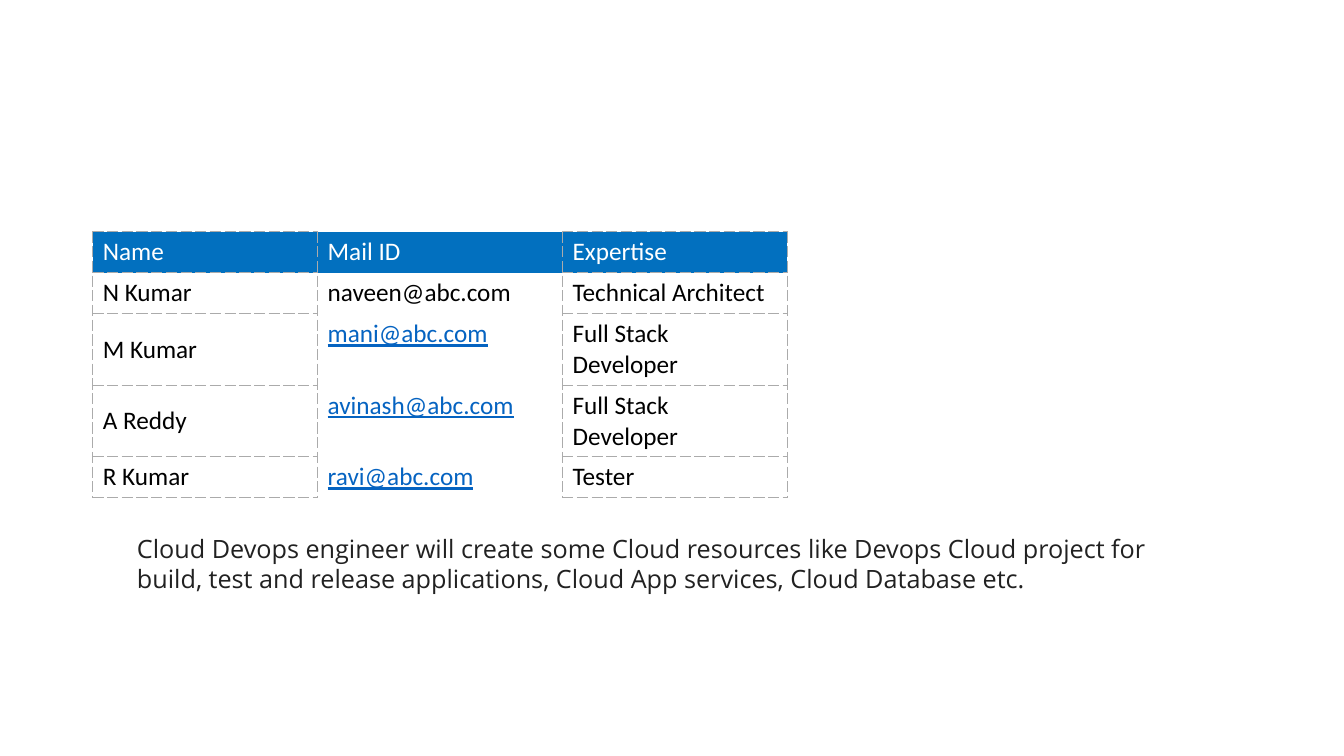
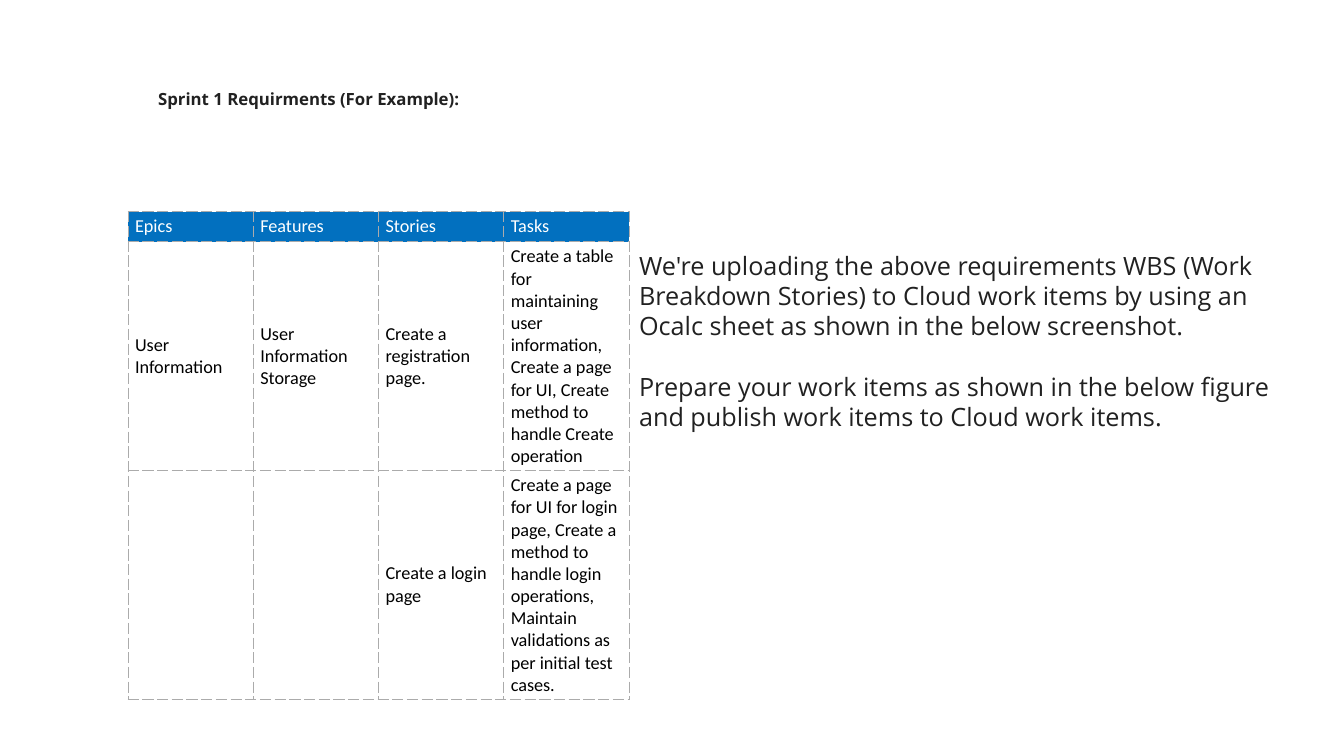
"""Build two project planning slides with bordered tables and notes."""
from dataclasses import dataclass
from typing import Optional

from lxml import etree
from pptx import Presentation
from pptx.dml.color import RGBColor
from pptx.enum import shapes, text
from pptx.oxml import ns
from pptx.util import Inches, Pt


@dataclass(frozen=True)
class Theme:
    header: RGBColor = RGBColor(0x02, 0x70, 0xBF)
    paper: RGBColor = RGBColor(0xFF, 0xFF, 0xFF)
    ink: RGBColor = RGBColor(0x00, 0x00, 0x00)
    note: RGBColor = RGBColor(0x21, 0x21, 0x21)
    link: RGBColor = RGBColor(0x05, 0x63, 0xC1)
    border: str = "ABABAB"
    border_width: float = 0.75
    table_font: str = "Calibri"
    note_font: str = "Open Sans"
    body_size: int = 18
    compact_size: int = 13
    heading_size: int = 12
    paragraph_gap: int = 22


@dataclass(frozen=True)
class Grid:
    left: float
    top: float
    cols: tuple[float, ...]
    rows: tuple[float, ...]
    cells: tuple[tuple[str, ...], ...]
    size: int
    margin_x: float = 0.1
    margin_y: float = 0.05
    open_col: Optional[int] = None
    links: tuple[str, ...] = ()


@dataclass(frozen=True)
class Note:
    left: float
    top: float
    width: float
    height: float
    paragraphs: tuple[str, ...]
    size: int
    is_heading: bool = False


THEME = Theme()

TEAM = Grid(
    0.92, 2.3, (2.23, 2.43, 2.23), (0.4, 0.4, 0.71, 0.71, 0.4),
    (
        ("Name", "Mail ID", "Expertise"),
        ("N Kumar", "naveen@abc.com", "Technical Architect"),
        ("M Kumar", "mani@abc.com", "Full Stack Developer"),
        ("A Reddy", "avinash@abc.com", "Full Stack Developer"),
        ("R Kumar", "ravi@abc.com", "Tester"),
    ),
    THEME.body_size,
    open_col=1,
    links=("mani@abc.com", "avinash@abc.com", "ravi@abc.com"),
)
TEAM_NOTE = Note(
    1.26, 5.24, 10.31, 0.71,
    ("Cloud Devops engineer will create some Cloud resources like Devops Cloud "
     "project for build, test and release applications, Cloud App services, "
     "Cloud Database etc.",),
    THEME.body_size,
)
SPRINT = Grid(
    1.27, 2.1, (4.97 / 4,) * 4, (0.29, 2.27, 2.27),
    (
        ("Epics", "Features", "Stories", "Tasks"),
        ("User Information", "User Information Storage",
         "Create a registration page.",
         "Create a table for maintaining user information, Create a page for UI, "
         "Create method to handle Create operation"),
        ("", "", "Create a login page",
         "Create a page for UI for login page, Create a method to handle login "
         "operations, Maintain validations as per initial test cases."),
    ),
    THEME.compact_size,
    margin_x=0.07,
    margin_y=0.04,
)
SPRINT_HEADING = Note(
    1.47, 0.83, 3.23, 0.81, ("Sprint 1 Requirments (For Example):",),
    THEME.heading_size, is_heading=True,
)
SPRINT_NOTE = Note(
    6.24, 2.43, 6.67, 1.92,
    ("We're uploading the above requirements WBS (Work Breakdown Stories) to "
     "Cloud work items by using an Ocalc sheet as shown in the below screenshot.",
     "Prepare your work items as shown in the below figure and publish work "
     "items to Cloud work items."),
    THEME.body_size,
)


def set_borders(cell, is_open: bool) -> None:
    """Draw dashed cell sides, leaving top and bottom bare when open."""
    tc_pr = cell._tc.get_or_add_tcPr()
    for i, side in enumerate("LRTB"):
        ln = etree.Element(ns.qn(f"a:ln{side}"), w=str(Pt(THEME.border_width)))
        if is_open and side in "TB":
            etree.SubElement(ln, ns.qn("a:noFill"))
        else:
            fill = etree.SubElement(ln, ns.qn("a:solidFill"))
            etree.SubElement(fill, ns.qn("a:srgbClr"), val=THEME.border)
            etree.SubElement(ln, ns.qn("a:prstDash"), val="dash")
        tc_pr.insert(i, ln)


def fill_cell(cell, grid: Grid, row: int, col: int) -> None:
    """Write and style one table cell."""
    is_open = col == grid.open_col
    value = grid.cells[row][col]
    cell.margin_left = cell.margin_right = Inches(grid.margin_x)
    cell.margin_top = cell.margin_bottom = Inches(grid.margin_y)
    cell.vertical_anchor = text.MSO_ANCHOR.TOP if is_open else text.MSO_ANCHOR.MIDDLE
    cell.fill.solid()
    cell.fill.fore_color.rgb = THEME.paper if row else THEME.header
    set_borders(cell, is_open)
    cell.text = value
    font = cell.text_frame.paragraphs[0].font
    font.name, font.size, font.bold = THEME.table_font, Pt(grid.size), False
    if value in grid.links:
        font.color.rgb = THEME.link
        font.underline = True
    else:
        font.color.rgb = THEME.ink if row else THEME.paper


def add_grid(s, grid: Grid) -> None:
    """Add a table with a coloured header row."""
    table = s.shapes.add_table(
        len(grid.rows), len(grid.cols), Inches(grid.left), Inches(grid.top),
        Inches(sum(grid.cols)), Inches(sum(grid.rows)),
    ).table
    table.first_row = table.horz_banding = False
    for column, width in zip(table.columns, grid.cols):
        column.width = Inches(width)
    for r, height in enumerate(grid.rows):
        table.rows[r].height = Inches(height)
        for c in range(len(grid.cols)):
            fill_cell(table.cell(r, c), grid, r, c)


def add_note(s, note: Note) -> None:
    """Add a text box, or a white panel for a heading."""
    box = tuple(Inches(v) for v in (note.left, note.top, note.width, note.height))
    if note.is_heading:
        sp = s.shapes.add_shape(shapes.MSO_SHAPE.RECTANGLE, *box)
        sp.shadow.inherit = False
        sp.fill.solid()
        sp.fill.fore_color.rgb = THEME.paper
        sp.line.fill.background()
    else:
        sp = s.shapes.add_textbox(*box)
    tf = sp.text_frame
    tf.word_wrap = not note.is_heading
    tf.vertical_anchor = text.MSO_ANCHOR.TOP
    for i, line in enumerate(note.paragraphs):
        p = tf.add_paragraph() if i else tf.paragraphs[0]
        p.text = line
        p.alignment = text.PP_ALIGN.LEFT
        p.font.name, p.font.size = THEME.note_font, Pt(note.size)
        p.font.bold = note.is_heading
        p.font.color.rgb = THEME.note
        if i:
            p.space_before = Pt(THEME.paragraph_gap)


def main() -> None:
    """Build and save the presentation."""
    prs = Presentation()
    prs.slide_width, prs.slide_height = Inches(13.33), Inches(7.5)
    for grid, notes in (
        (TEAM, (TEAM_NOTE,)),
        (SPRINT, (SPRINT_HEADING, SPRINT_NOTE)),
    ):
        s = prs.slides.add_slide(prs.slide_layouts[6])
        add_grid(s, grid)
        for note in notes:
            add_note(s, note)
    prs.save("out.pptx")


if __name__ == "__main__":
    main()
